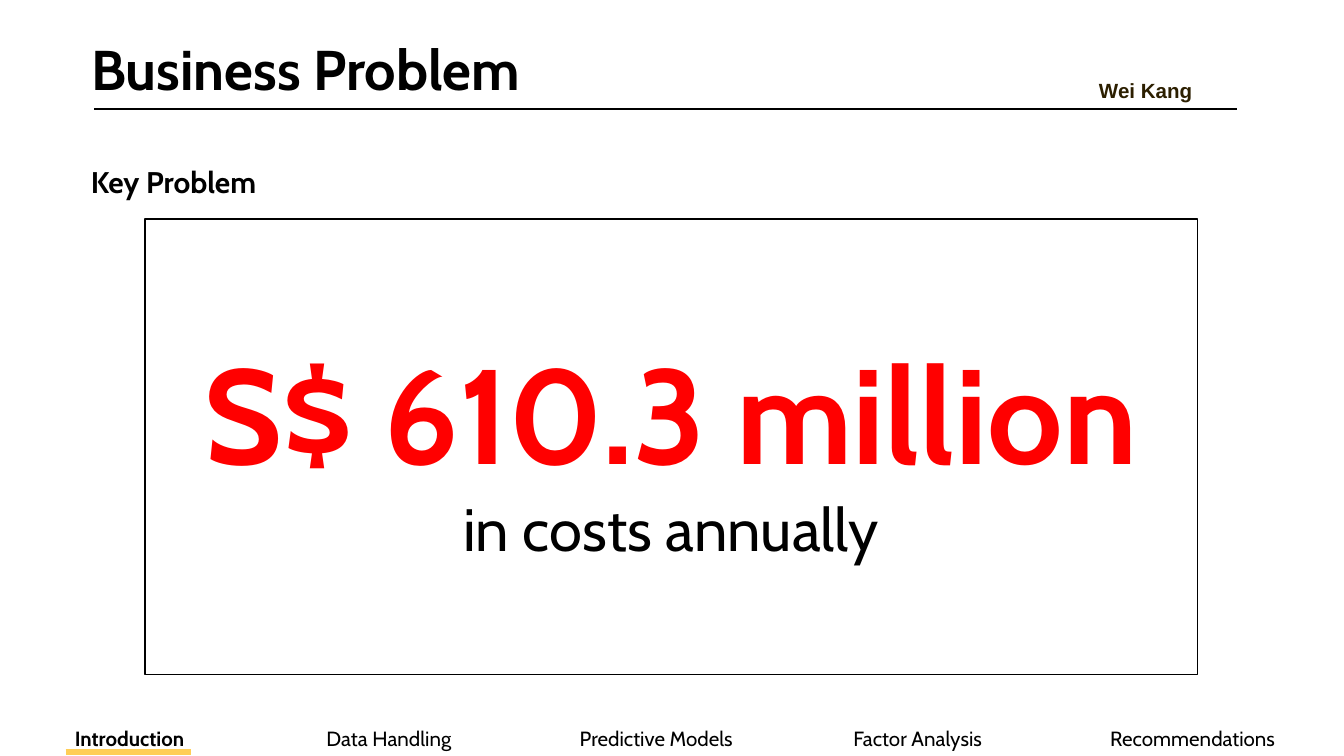
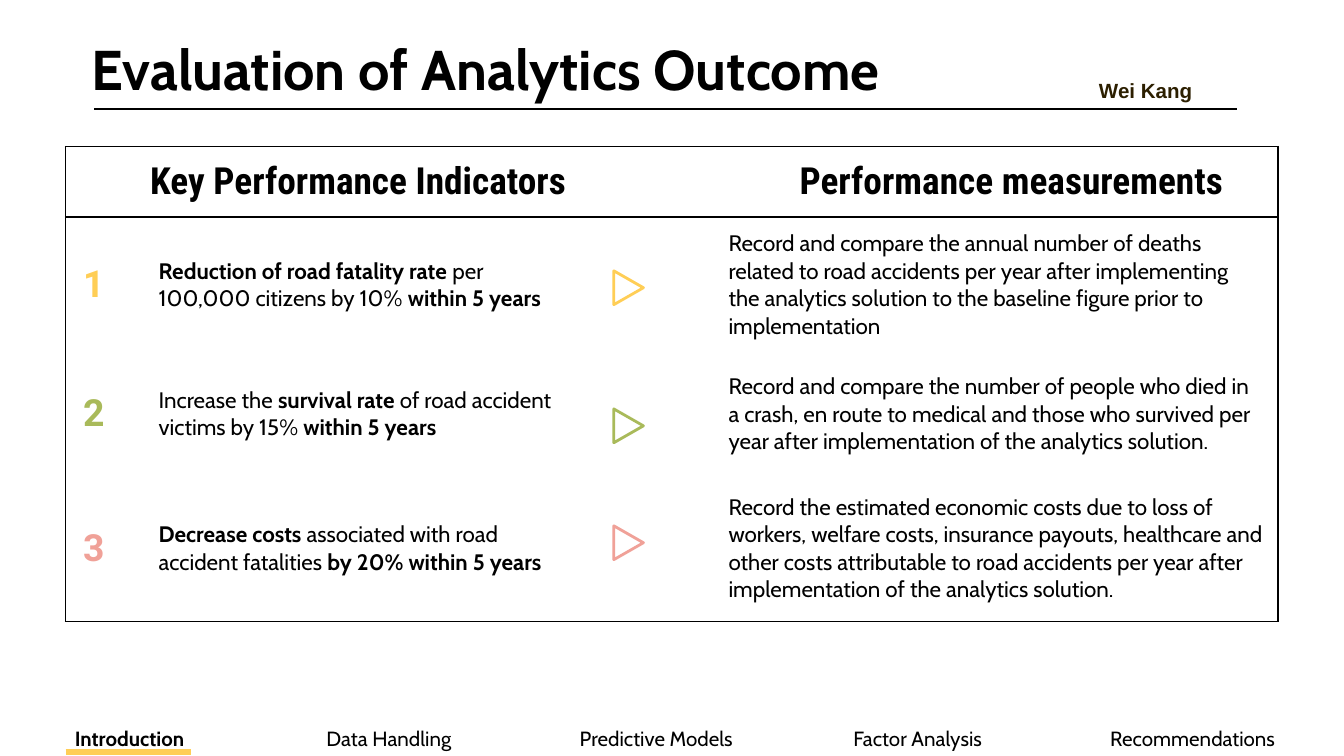
from lxml.etree import SubElement
from pptx import Presentation
from pptx.dml.color import RGBColor
from pptx.enum.shapes import MSO_CONNECTOR, MSO_SHAPE
from pptx.enum.text import MSO_ANCHOR, MSO_AUTO_SIZE, PP_ALIGN
from pptx.oxml import parse_xml
from pptx.oxml.ns import nsdecls, qn
from pptx.util import Cm, Pt

BLACK = RGBColor(0x00, 0x00, 0x00)
RED = RGBColor(0xFF, 0x00, 0x00)
BROWN = RGBColor(0x2C, 0x1F, 0x00)
GOLD = RGBColor(0xFF, 0xCE, 0x56)
GREEN = RGBColor(0xA9, 0xBA, 0x5A)
PINK = RGBColor(0xF0, 0xA1, 0x98)

BODY, HEAD, DIGIT, LABEL = "Cabin", "Roboto Condensed", "Roboto", "Arial"
INSET = 0.25

STEPS = ["*Introduction*", "Data Handling", "Predictive Models",
         "Factor Analysis", "Recommendations"]

# Heading text and its left margin
HEADS = [("*Key Performance Indicators*", 1.5),
         ("*Performance measurements*", 3.28)]

# Colour, arrow top, indicator, measurement
GOALS = [
    (GOLD, 5.16,
     "*Reduction of road fatality rate* per 100,000 citizens by 10% *within 5 years*",
     "Record and compare the annual number of deaths related to road accidents "
     "per year after implementing the analytics solution to the baseline figure "
     "prior to implementation"),
    (GREEN, 7.77,
     "Increase the *survival rate* of road accident victims by 15% *within 5 years*",
     "Record and compare the number of people who died in a crash, en route to "
     "medical and those who survived per year after implementation of the "
     "analytics solution."),
    (PINK, 9.98,
     "*Decrease costs* associated with road accident fatalities "
     "*by 20% within 5 years*",
     "Record the estimated economic costs due to loss of workers, welfare costs, "
     "insurance payouts, healthcare and other costs attributable to road accidents "
     "per year after implementation of the analytics solution."),
]


def write(para, text, size, font=BODY, color=BLACK, align=PP_ALIGN.LEFT):
    """Fill a paragraph; parts between asterisks are bold."""
    para.alignment = align
    for i, part in enumerate(text.split("*")):
        if part:
            run = para.add_run()
            run.text = part
            run.font.size = Pt(size)
            run.font.name = font
            run.font.bold = i % 2 == 1
            run.font.color.rgb = color


def set_frame(frame, anchor):
    frame.word_wrap = True
    frame.auto_size = MSO_AUTO_SIZE.NONE
    frame.vertical_anchor = anchor
    frame.margin_left = frame.margin_right = Cm(INSET)
    frame.margin_top = frame.margin_bottom = Cm(INSET)


def add_text(slide, box, text, size, anchor=MSO_ANCHOR.MIDDLE, **style):
    frame = slide.shapes.add_textbox(*map(Cm, box)).text_frame
    set_frame(frame, anchor)
    write(frame.paragraphs[0], text, size, **style)


def add_rule(slide, left, right, top, color, width):
    line = slide.shapes.add_connector(
        MSO_CONNECTOR.STRAIGHT, Cm(left), Cm(top), Cm(right), Cm(top))
    line.line.color.rgb = color
    line.line.width = Pt(width)
    SubElement(line._element.spPr, qn("a:effectLst"))


def add_frame(slide, kind, box, color, width):
    """Add an unfilled outline shape."""
    shape = slide.shapes.add_shape(kind, *map(Cm, box))
    shape.shadow.inherit = False
    shape.fill.background()
    shape.line.color.rgb = color
    shape.line.width = Pt(width)
    return shape


def set_edges(cell, sides=""):
    """Draw the named sides of a cell and clear the others."""
    cell.fill.background()
    props = cell._tc.get_or_add_tcPr()
    for i, side in enumerate("LRTB"):
        paint = '<a:noFill/>'
        if side in sides:
            paint = f'<a:solidFill><a:srgbClr val="{BLACK}"/></a:solidFill>'
        props.insert(i, parse_xml(
            f'<a:ln{side} {nsdecls("a")} w="{Pt(1)}">{paint}</a:ln{side}>'))


def add_grid(slide, left, top, cols, rows):
    table = slide.shapes.add_table(
        len(rows), len(cols), Cm(left), Cm(top),
        Cm(sum(cols)), Cm(sum(rows))).table
    table.first_row = table.horz_banding = False
    for col, width in zip(table.columns, cols):
        col.width = Cm(width)
    for row, height in zip(table.rows, rows):
        row.height = Cm(height)
    return table


def fill_cell(cell, text, size, left=INSET, **style):
    cell.vertical_anchor = MSO_ANCHOR.MIDDLE
    cell.margin_left = Cm(left)
    cell.margin_right = cell.margin_top = cell.margin_bottom = Cm(INSET)
    write(cell.text_frame.paragraphs[0], text, size, **style)


def add_footer(slide):
    table = add_grid(slide, 0, 13.61, [4.9, 4.9, 5.21, 4.67, 5.72], [1.04])
    for cell, step in zip(table.iter_cells(), STEPS):
        set_edges(cell)
        write(cell.text_frame.paragraphs[0], step, 11, align=PP_ALIGN.CENTER)
    add_rule(slide, 1.24, 3.61, 14.22, GOLD, 3)


def add_page(deck, title, width):
    """Start a slide with its title, rule, speaker and footer."""
    slide = deck.slides.add_slide(deck.slide_layouts[5])
    add_footer(slide)
    head = slide.shapes.title
    head.left, head.top, head.width, head.height = map(Cm, (1.47, 0.48, width, 1.6))
    set_frame(head.text_frame, MSO_ANCHOR.MIDDLE)
    write(head.text_frame.paragraphs[0], f"*{title}*", 30)
    add_rule(slide, 1.78, 23.37, 2.06, BLACK, 1.5)
    add_text(slide, (20.52, 1.22, 2.4, 1.14), "*Wei Kang*", 11,
             MSO_ANCHOR.TOP, font=LABEL, color=BROWN)
    return slide


def add_problem(deck):
    slide = add_page(deck, "Business Problem", 16.61)
    add_text(slide, (1.47, 3.07, 7.9, 0.74), "*Key Problem*", 16)
    box = add_frame(slide, MSO_SHAPE.RECTANGLE, (2.74, 4.14, 19.89, 8.61),
                    BLACK, 0.75)
    frame = box.text_frame
    set_frame(frame, MSO_ANCHOR.MIDDLE)
    write(frame.paragraphs[0], "*S$ 610.3 million*", 72, color=RED,
          align=PP_ALIGN.CENTER)
    write(frame.add_paragraph(), "in costs annually", 32, align=PP_ALIGN.CENTER)


def add_goals(deck):
    slide = add_page(deck, "Evaluation of Analytics Outcome", 21.41)
    table = add_grid(slide, 1.24, 2.77, [1.07, 8.74, 2.03, 11.07],
                     [1.24, 2.31, 2.31, 2.77])

    # Headings, each over two columns
    for i, (text, left) in enumerate(HEADS):
        cell = table.cell(0, 2 * i)
        cell.merge(table.cell(0, 2 * i + 1))
        fill_cell(cell, text, 20, left, font=HEAD, align=PP_ALIGN.CENTER)

    # Goals with their arrows
    for row, (color, top, goal, measure) in enumerate(GOALS, 1):
        fill_cell(table.cell(row, 0), f"*{row}*", 20, font=DIGIT, color=color,
                  align=PP_ALIGN.CENTER)
        fill_cell(table.cell(row, 1), goal, 12, 0.69)
        fill_cell(table.cell(row, 3), measure, 12, 0.69)
        arrow = add_frame(slide, MSO_SHAPE.ISOSCELES_TRIANGLE,
                          (11.56, top, 0.64, 0.56), color, 1.5)
        arrow.rotation = 90

    # Outer border and the line below the headings
    for row in range(4):
        for col in range(4):
            cell = table.cell(row, col)
            sides = "L" if col == 0 else ""
            sides += "R" if col + cell.span_width > 3 else ""
            sides += "T" if row < 2 else ""
            sides += "B" if row in (0, 3) else ""
            set_edges(cell, sides)


def main():
    deck = Presentation()
    deck.slide_width, deck.slide_height = Cm(25.4), Cm(14.29)
    add_problem(deck)
    add_goals(deck)
    deck.save("out.pptx")


if __name__ == "__main__":
    main()
